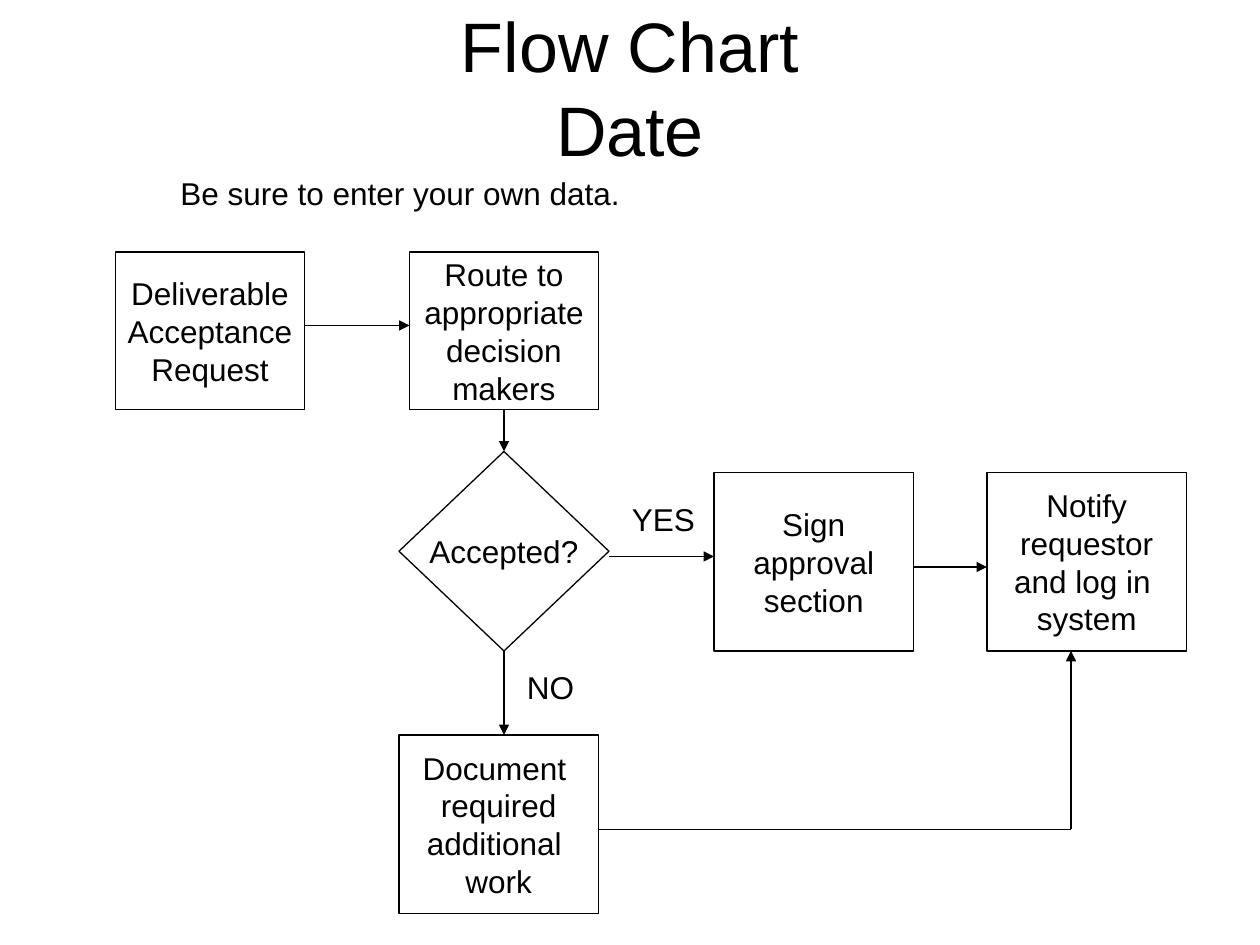
from pptx import Presentation
from pptx.dml.color import RGBColor
from pptx.enum.shapes import MSO_CONNECTOR, MSO_SHAPE
from pptx.enum.text import MSO_ANCHOR, MSO_AUTO_SIZE, PP_ALIGN
from pptx.oxml.ns import qn
from pptx.util import Pt
from lxml.etree import SubElement

INK = "000000"
PAPER = "FFFFFF"
FONT = "Arial"


def color(code):
    return RGBColor.from_string(code)


def add_run(para, text, size):
    run = para.add_run()
    run.text = text
    run.font.name = FONT
    run.font.size = Pt(size)
    run.font.color.rgb = color(INK)


def write(frame, lines, align, size=18):
    for i, text in enumerate(lines):
        para = frame.add_paragraph() if i else frame.paragraphs[0]
        para.alignment = align
        add_run(para, text, size)


def add_title(slide, first, second):
    title = slide.shapes.title
    title.left, title.top = Pt(36), Pt(24)
    title.width, title.height = Pt(648), Pt(50.4)
    frame = title.text_frame
    frame.auto_size = MSO_AUTO_SIZE.NONE
    frame.vertical_anchor = MSO_ANCHOR.MIDDLE
    para = frame.paragraphs[0]
    para.alignment = PP_ALIGN.CENTER
    add_run(para, first, 40)
    para.add_line_break()
    add_run(para, second, 40)


def add_step(slide, left, top, width, height, lines, kind=MSO_SHAPE.RECTANGLE):
    step = slide.shapes.add_shape(kind, Pt(left), Pt(top), Pt(width), Pt(height))
    step.shadow.inherit = False
    step.fill.solid()
    step.fill.fore_color.rgb = color(PAPER)
    step.line.color.rgb = color(INK)
    step.line.width = Pt(0.75)
    frame = step.text_frame
    frame.word_wrap = False
    frame.vertical_anchor = MSO_ANCHOR.MIDDLE
    write(frame, lines, PP_ALIGN.CENTER)
    return step


def add_label(slide, left, top, width, text):
    box = slide.shapes.add_textbox(Pt(left), Pt(top), Pt(width), Pt(29))
    frame = box.text_frame
    frame.word_wrap = False
    frame.auto_size = MSO_AUTO_SIZE.SHAPE_TO_FIT_TEXT
    write(frame, [text], PP_ALIGN.LEFT)


def add_link(slide, x1, y1, x2, y2, arrow=True):
    link = slide.shapes.add_connector(
        MSO_CONNECTOR.STRAIGHT, Pt(x1), Pt(y1), Pt(x2), Pt(y2))
    link.line.color.rgb = color(INK)
    link.line.width = Pt(0.75)
    if arrow:
        SubElement(link.line._get_or_add_ln(), qn("a:tailEnd"), type="triangle")
    SubElement(link._element.spPr, qn("a:effectLst"))
    return link


def main():
    deck = Presentation()
    deck.slide_width, deck.slide_height = Pt(720), Pt(540)
    slide = deck.slides.add_slide(deck.slide_layouts[5])
    add_title(slide, "Flow Chart", "Date")

    add_step(slide, 66, 144, 108, 90, ["Deliverable", "Acceptance", "Request"])
    route = add_step(slide, 234, 144, 108, 90,
                     ["Route to", "appropriate", "decision", "makers"])
    choice = add_step(slide, 228, 258, 120, 114, ["Accepted?"],
                      MSO_SHAPE.FLOWCHART_DECISION)
    for left, top, lines in [
        (408, 270, ["Sign", "approval", "section"]),
        (564, 270, ["Notify", "requestor", "and log in ", "system"]),
        (228, 420, ["Document ", "required", "additional ", "work"]),
    ]:
        add_step(slide, left, top, 114, 102, lines)

    add_link(slide, 174, 186, 234, 186)
    down = add_link(slide, 288, 234, 288, 258)
    down.begin_connect(route, 2)
    down.end_connect(choice, 0)
    add_link(slide, 348, 318, 408, 318)
    add_link(slide, 288, 372, 288, 420).begin_connect(choice, 2)
    add_link(slide, 522, 324, 564, 324)
    add_link(slide, 342, 474, 612, 474, arrow=False)
    add_link(slide, 612, 474, 612, 372)

    add_label(slide, 354, 282, 51, "YES")
    add_label(slide, 294, 378, 43, "NO")
    add_label(slide, 96, 96, 266, "Be sure to enter your own data.")
    deck.save("out.pptx")


if __name__ == "__main__":
    main()
